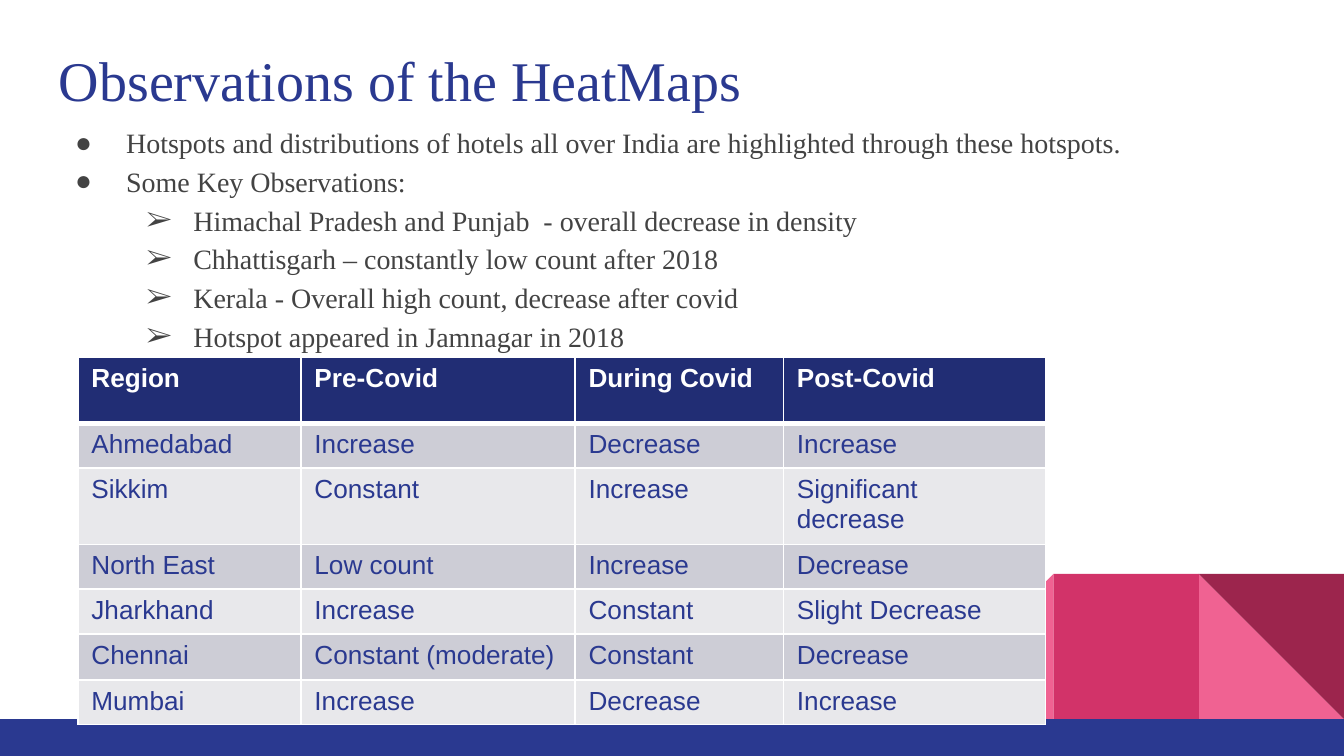
from dataclasses import dataclass

from lxml import etree
from pptx import Presentation
from pptx import util as u
from pptx.dml.color import RGBColor
from pptx.enum import shapes, text
from pptx.oxml import ns


@dataclass(frozen=True)
class Theme:
    blue: str = "2A3990"
    navy: str = "212D74"
    gray: str = "434343"
    white: str = "FFFFFF"
    pink: str = "F06292"
    rose: str = "D23369"
    wine: str = "9C254D"
    bands: tuple = ("CDCDD6", "E8E8EB")
    serif: str = "Times New Roman"
    sans: str = "Arial"
    title_size: int = 30
    body_size: int = 15
    table_size: int = 14


BULLETS = [("●", 0.5, -0.38), ("➢", 1.0, -0.35)]

OBSERVATIONS = [
    (0, "Hotspots and distributions of hotels all over India are highlighted through these hotspots."),
    (0, "Some Key Observations:"),
    (1, "Himachal Pradesh and Punjab  - overall decrease in density"),
    (1, "Chhattisgarh – constantly low count after 2018"),
    (1, "Kerala - Overall high count, decrease after covid"),
    (1, "Hotspot appeared in Jamnagar in 2018"),
]

TRENDS = [
    ("Region", "Pre-Covid", "During Covid", "Post-Covid"),
    ("Ahmedabad", "Increase", "Decrease", "Increase"),
    ("Sikkim", "Constant", "Increase", "Significant decrease"),
    ("North East", "Low count", "Increase", "Decrease"),
    ("Jharkhand", "Increase", "Constant", "Slight Decrease"),
    ("Chennai", "Constant (moderate)", "Constant", "Decrease"),
    ("Mumbai", "Increase", "Decrease", "Increase"),
]


class SlideBuilder:
    """Draws on one slide; lengths are cells of a grid of 0.1 inch."""

    cell_size = u.Inches(0.1)

    def __init__(self, slide, theme):
        self.slide = slide
        self.theme = theme

    def grid(self, *cells):
        return [round(cell * self.cell_size) for cell in cells]

    def style_runs(self, paragraph, font, size, color, bold=False):
        for run in paragraph.runs:
            run.font.name = font
            run.font.size = u.Pt(size)
            run.font.bold = bold
            run.font.color.rgb = RGBColor.from_string(color)

    def block(self, kind, box, color, rotation=0, flip=False):
        shape = self.slide.shapes.add_shape(kind, *self.grid(*box))
        shape.shadow.inherit = False
        shape.fill.solid()
        shape.fill.fore_color.rgb = RGBColor.from_string(color)
        shape.line.fill.background()
        shape.rotation = rotation
        if flip:
            shape._element.spPr.xfrm.set("flipH", "1")

    def text_box(self, box):
        frame = self.slide.shapes.add_textbox(*self.grid(*box)).text_frame
        frame.word_wrap = True
        frame.vertical_anchor = text.MSO_ANCHOR.TOP
        frame.margin_left, frame.margin_top, frame.margin_right, frame.margin_bottom = self.grid(1, 1, 1, 1)
        return frame

    def title(self, box, words):
        frame = self.text_box(box)
        frame.text = words
        self.style_runs(frame.paragraphs[0], self.theme.serif, self.theme.title_size, self.theme.blue)

    def bullet_list(self, box, items):
        frame = self.text_box(box)
        frame.text = "\n".join(words for _, words in items)
        for paragraph, (level, _) in zip(frame.paragraphs, items):
            paragraph.level = level
            paragraph.line_spacing = 1.15
            self.add_bullet(paragraph, *BULLETS[level])
            self.style_runs(paragraph, self.theme.serif, self.theme.body_size, self.theme.gray)

    def add_bullet(self, paragraph, mark, left, indent):
        properties = paragraph._p.get_or_add_pPr()
        properties.set("marL", str(u.Inches(left)))
        properties.set("indent", str(u.Inches(indent)))
        color = etree.SubElement(properties, ns.qn("a:buClr"))
        etree.SubElement(color, ns.qn("a:srgbClr"), val=self.theme.gray)
        etree.SubElement(properties, ns.qn("a:buFont"), typeface=self.theme.serif)
        etree.SubElement(properties, ns.qn("a:buChar"), char=mark)

    def table(self, box, widths, heights, rows):
        frame = self.slide.shapes.add_table(len(rows), len(widths), *self.grid(*box))
        table = frame.table
        for column, width in zip(table.columns, self.grid(*widths)):
            column.width = width
        for row, height in zip(table.rows, self.grid(*heights)):
            row.height = height
        frame.width, frame.height = self.grid(*box[2:])
        for r, row in enumerate(rows):
            header = r == 0
            fill = self.theme.navy if header else self.theme.bands[(r - 1) % 2]
            color = self.theme.white if header else self.theme.blue
            for c, words in enumerate(row):
                cell = table.cell(r, c)
                cell.text_frame.text = words
                self.style_runs(cell.text_frame.paragraphs[0], self.theme.sans,
                                self.theme.table_size, color, bold=header)
                self.add_borders(cell, top=3 if r == 1 else 1, bottom=3 if header else 1)
                cell.fill.solid()
                cell.fill.fore_color.rgb = RGBColor.from_string(fill)

    def add_borders(self, cell, top, bottom):
        properties = cell._tc.get_or_add_tcPr()
        for side, width in (("L", 1), ("R", 1), ("T", top), ("B", bottom)):
            line = etree.SubElement(properties, ns.qn(f"a:ln{side}"), w=str(u.Pt(width)))
            fill = etree.SubElement(line, ns.qn("a:solidFill"))
            etree.SubElement(fill, ns.qn("a:srgbClr"), val=self.theme.white)


def main():
    presentation = Presentation()
    presentation.slide_width = u.Inches(10)
    presentation.slide_height = presentation.slide_width * 9 // 16
    theme = Theme()
    slide = presentation.slides.add_slide(presentation.slide_layouts[6])
    builder = SlideBuilder(slide, theme)

    kinds = shapes.MSO_SHAPE
    side, top = 10.8, 42.7
    left, middle, right = [(100 - n * side, top, side, side) for n in (3, 2, 1)]
    builder.block(kinds.RIGHT_TRIANGLE, right, theme.pink)
    builder.block(kinds.RIGHT_TRIANGLE, left, theme.pink, flip=True)
    builder.block(kinds.RECTANGLE, middle, theme.rose)
    builder.block(kinds.RIGHT_TRIANGLE, right, theme.wine, rotation=180)
    builder.block(kinds.RECTANGLE, (0, top + side, 100, 2.8), theme.blue)

    builder.title((3.4, 2.4, 93.2, 6.6), "Observations of the HeatMaps")
    builder.bullet_list((3.4, 8, 94.9, 40.2), OBSERVATIONS)
    builder.table((5.8, 26.6, 72, 26.6), (16.6, 20.4, 15.5, 19.5),
                  (4.9, 2.9, 4.9, 2.9, 2.9, 3.4, 2.9), TRENDS)
    presentation.save("out.pptx")


if __name__ == "__main__":
    main()
